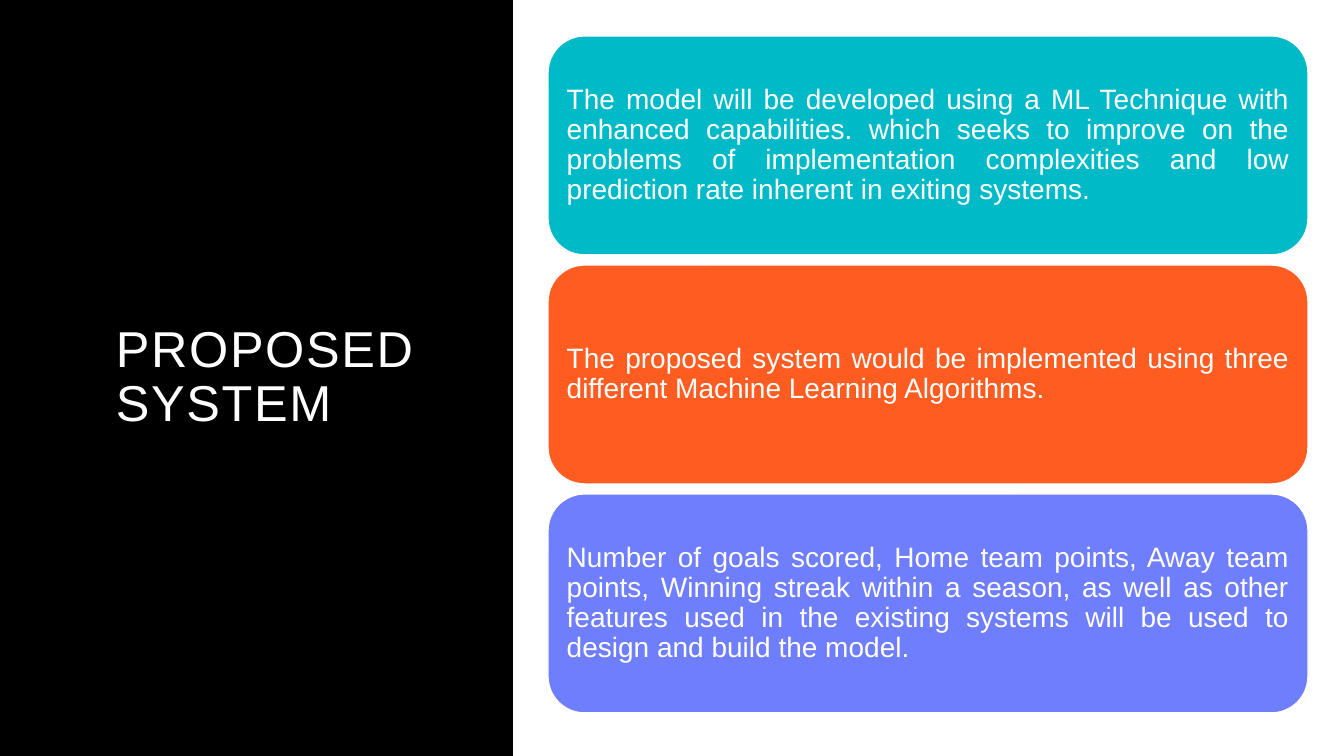
import pptx
import pptx.dml.color
import pptx.enum.shapes
import pptx.enum.text
import pptx.util

WIDTH, HEIGHT = 1344, 756
SCALE = 12192000 / WIDTH
SHAPES = pptx.enum.shapes.MSO_SHAPE
ALIGN = pptx.enum.text.PP_ALIGN

CARDS = [
    ("00BAC7", "The model will be developed using a ML Technique with enhanced "
               "capabilities. which seeks to improve on the problems of implementation "
               "complexities and low prediction rate inherent in exiting systems."),
    ("FF5C21", "The proposed system would be implemented using three different "
               "Machine Learning Algorithms."),
    ("6F7EFD", "Number of goals scored, Home team points, Away team points, Winning "
               "streak within a season, as well as other features used in the existing "
               "systems will be used to design and build the model."),
]
CARD_LEFT, CARD_TOP, CARD_WIDTH, CARD_HEIGHT, CARD_PITCH = 548, 36, 760, 219, 229


def px(length):
    return pptx.util.Emu(round(length * SCALE))


def color(value):
    return pptx.dml.color.RGBColor.from_string(value)


def write_text(shape, text, size, font, ink, align=ALIGN.LEFT, inset_x=10, inset_y=5,
               space_after=0, spacing=0):
    frame = shape.text_frame
    frame.word_wrap = True
    frame.vertical_anchor = pptx.enum.text.MSO_ANCHOR.MIDDLE
    frame.margin_left = frame.margin_right = px(inset_x)
    frame.margin_top = frame.margin_bottom = px(inset_y)
    paragraph = frame.paragraphs[0]
    paragraph.alignment = align
    paragraph.line_spacing = 0.9
    paragraph.space_after = pptx.util.Pt(space_after)
    run = paragraph.add_run()
    run.text = text
    run.font.name = font
    run.font.size = pptx.util.Pt(size)
    run.font.color.rgb = color(ink)
    if spacing:
        run._r.get_or_add_rPr().set("spc", str(spacing))


class SlideBuilder:
    font = "Arial"
    ink = "FFFFFF"

    def __init__(self, presentation):
        self.slide = presentation.slides.add_slide(presentation.slide_layouts[6])

    def box(self, kind, left, top, width, height, fill, line=None):
        shape = self.slide.shapes.add_shape(kind, px(left), px(top), px(width), px(height))
        shape.shadow.inherit = False
        shape.fill.solid()
        shape.fill.fore_color.rgb = color(fill)
        if line:
            shape.line.color.rgb = color(line)
            shape.line.width = pptx.util.Pt(1)
        else:
            shape.line.fill.background()
        return shape

    def panel(self, left, top, width, height, fill):
        return self.box(SHAPES.RECTANGLE, left, top, width, height, fill)

    def title(self, left, top, width, height, text):
        shape = self.slide.shapes.add_textbox(px(left), px(top), px(width), px(height))
        write_text(shape, text, size=36, font=self.font, ink=self.ink, spacing=120)

    def card(self, left, top, width, height, fill, text):
        shape = self.box(SHAPES.ROUNDED_RECTANGLE, left, top, width, height, fill, self.ink)
        write_text(shape, text, size=20, font=self.font, ink=self.ink, align=ALIGN.JUSTIFY,
                   inset_x=8, inset_y=8, space_after=7)


def main():
    presentation = pptx.Presentation()
    presentation.slide_width = px(WIDTH)
    presentation.slide_height = px(HEIGHT)
    builder = SlideBuilder(presentation)
    builder.panel(0, 0, 513, HEIGHT, "000000")
    builder.title(106, 71, 354, 614, "PROPOSED SYSTEM")
    for index, (fill, text) in enumerate(CARDS):
        builder.card(CARD_LEFT, CARD_TOP + index * CARD_PITCH, CARD_WIDTH, CARD_HEIGHT,
                     fill, text)
    presentation.save("out.pptx")


if __name__ == "__main__":
    main()
